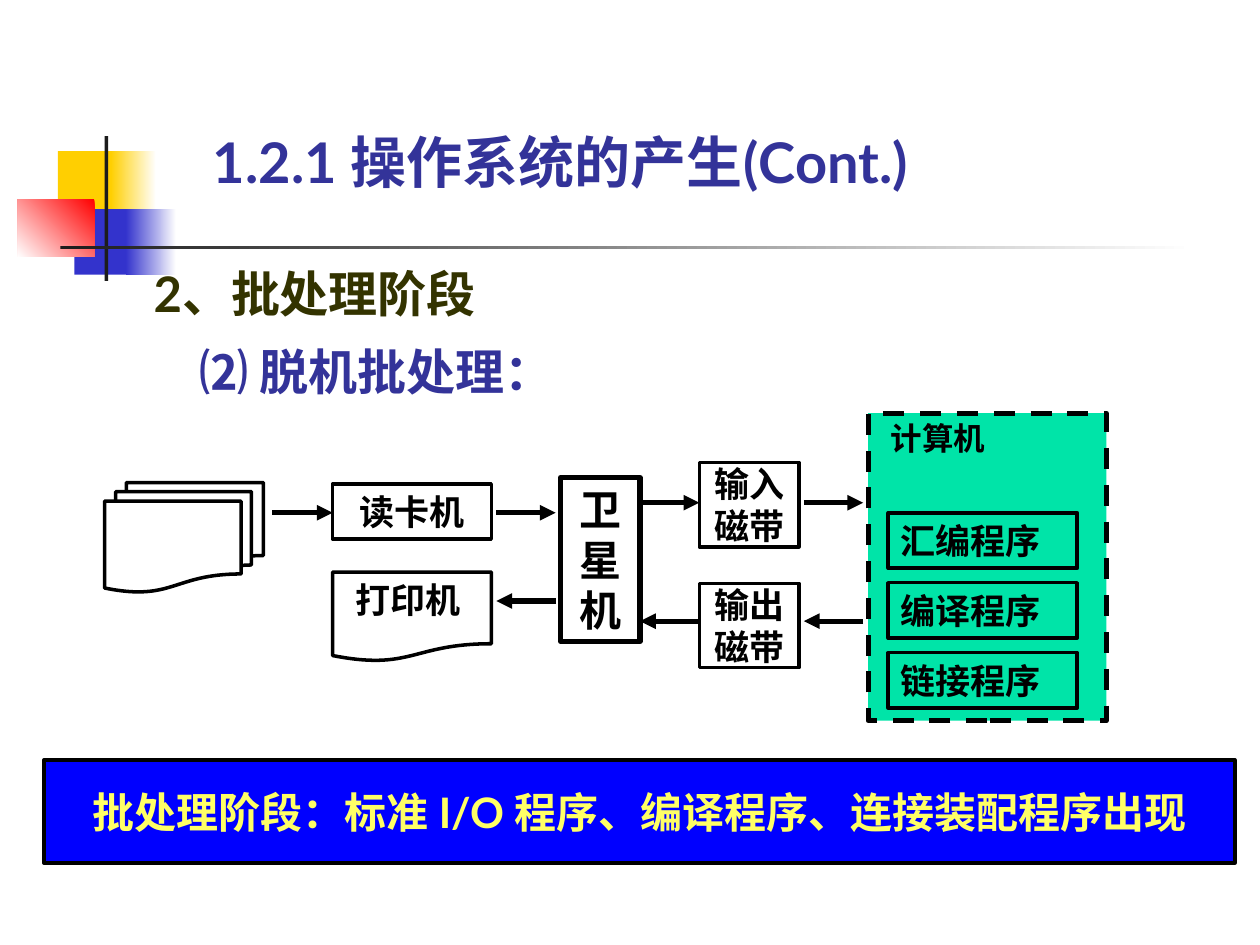
import pptx
import pptx.dml.color
import pptx.enum.dml
import pptx.enum.shapes
import pptx.enum.text
import pptx.oxml
import pptx.oxml.ns
import pptx.util

Inches = pptx.util.Inches
Pt = pptx.util.Pt
RGBColor = pptx.dml.color.RGBColor
Shape = pptx.enum.shapes.MSO_SHAPE
Align = pptx.enum.text.PP_ALIGN
Anchor = pptx.enum.text.MSO_ANCHOR

FONT = "Lato"
WHITE = RGBColor(0xFF, 0xFF, 0xFF)
BLACK = RGBColor(0x00, 0x00, 0x00)
CHARCOAL = RGBColor(0x1C, 0x1C, 0x1C)
GOLD = RGBColor(0xFF, 0xCF, 0x01)
ROYAL = RGBColor(0x33, 0x33, 0xCC)
RED = RGBColor(0xFF, 0x00, 0x00)
NAVY = RGBColor(0x33, 0x33, 0x99)
OLIVE = RGBColor(0x33, 0x33, 0x00)
GREEN = RGBColor(0x00, 0xE4, 0xA8)
BLUE = RGBColor(0x00, 0x00, 0xFF)
YELLOW = RGBColor(0xFF, 0xFF, 0x66)


def add_element(parent, tag, **attributes):
    element = pptx.oxml.parse_xml(f"<{tag} {pptx.oxml.ns.nsdecls('a')}/>")
    for name, value in attributes.items():
        element.set(name, value)
    parent.append(element)


def write_text(para, text, size=20, color=BLACK, align=Align.LEFT,
               before=0, spacing=1.0, indent=0):
    """Fill one paragraph with a bold, unbulleted run."""
    para.alignment = align
    para.space_before = Pt(before)
    para.line_spacing = spacing
    properties = para._p.get_or_add_pPr()
    properties.set("marL", str(Inches(indent)))
    properties.set("indent", "0")
    add_element(properties, "a:buNone")
    span = para.add_run()
    span.text = text
    span.font.name = FONT
    span.font.size = Pt(size)
    span.font.bold = True
    span.font.color.rgb = color
    add_element(span._r.get_or_add_rPr(), "a:ea", typeface=FONT)


def prepare_frame(frame, insets=(0, 0), anchor=Anchor.TOP):
    frame.word_wrap = True
    frame.auto_size = pptx.enum.text.MSO_AUTO_SIZE.NONE
    frame.vertical_anchor = anchor
    frame.margin_left = frame.margin_right = Inches(insets[0])
    frame.margin_top = frame.margin_bottom = Inches(insets[1])


def place(placeholder, left, top, width, height):
    placeholder.left, placeholder.top = Inches(left), Inches(top)
    placeholder.width, placeholder.height = Inches(width), Inches(height)
    prepare_frame(placeholder.text_frame)


def add_block(page, bounds, kind=Shape.RECTANGLE, fill=None, line=None):
    block = page.shapes.add_shape(kind, *map(Inches, bounds))
    block.shadow.inherit = False
    if fill is None:
        block.fill.background()
    else:
        block.fill.solid()
        block.fill.fore_color.rgb = fill
    if line is None:
        block.line.fill.background()
    else:
        block.line.color.rgb = BLACK
        block.line.width = Pt(line)
    return block


def add_fade(page, bounds, color, angle=0):
    """Add a rectangle that fades from a colour to white."""
    fill = add_block(page, bounds).fill
    fill.gradient()
    fill.gradient_angle = angle
    for stop, shade in zip(fill.gradient_stops, (color, WHITE)):
        stop.color.rgb = shade


def add_box(page, text, bounds, kind=Shape.RECTANGLE, fill=None, line=2,
            insets=(0.1, 0.05), anchor=Anchor.MIDDLE, **text_format):
    box = add_block(page, bounds, kind, fill, line)
    prepare_frame(box.text_frame, insets, anchor)
    write_text(box.text_frame.paragraphs[0], text, **text_format)
    return box


def add_arrow(page, start, end, y):
    arrow = page.shapes.add_connector(
        pptx.enum.shapes.MSO_CONNECTOR.STRAIGHT,
        Inches(start), Inches(y), Inches(end), Inches(y))
    arrow.line.color.rgb = BLACK
    arrow.line.width = Pt(3)
    add_element(arrow.line._get_or_add_ln(), "a:tailEnd", type="triangle")
    add_element(arrow._element.spPr, "a:effectLst")


def add_decoration(page):
    add_block(page, (0.46, 1.2, 0.48, 0.52), fill=GOLD)
    add_fade(page, (0.88, 1.2, 0.36, 0.52), GOLD)
    add_block(page, (0.59, 1.66, 0.46, 0.52), fill=ROYAL)
    add_fade(page, (1, 1.66, 0.4, 0.52), ROYAL)
    add_fade(page, (0.14, 1.58, 0.61, 0.46), RED, angle=225)
    add_block(page, (0.83, 1.08, 0.03, 1.15), fill=CHARCOAL)
    add_fade(page, (0.48, 1.95, 9, 0.03), CHARCOAL)


def add_headings(page):
    title, body = page.shapes.title, page.placeholders[1]
    place(title, 1.69, 1.01, 6.38, 0.53)
    write_text(title.text_frame.paragraphs[0], "1.2.1 操作系统的产生(Cont.)",
               size=32, color=NAVY)
    place(body, 1.22, 2.18, 3.7, 0.99)
    frame = body.text_frame
    write_text(frame.paragraphs[0], "2、批处理阶段", size=28, color=OLIVE,
               spacing=0.8)
    write_text(frame.add_paragraph(), "⑵ 脱机批处理：", size=28, color=NAVY,
               spacing=0.8, before=17.5, indent=0.36)


def add_flow(page):
    add_block(page, (0.83, 3.83, 1.26, 0.87), Shape.FLOWCHART_MULTIDOCUMENT,
              fill=WHITE, line=2)
    add_box(page, "读卡机", (2.64, 3.84, 1.26, 0.44), align=Align.CENTER)
    add_box(page, "打印机", (2.64, 4.54, 1.26, 0.71), Shape.FLOWCHART_DOCUMENT,
            insets=(0.18, 0.05), anchor=Anchor.TOP)
    add_box(page, "卫星机", (4.45, 3.79, 0.63, 1.3), line=3, size=24,
            align=Align.CENTER)
    for text, top in (("输入磁带", 3.67), ("输出磁带", 4.63)):
        add_box(page, text, (5.55, top, 0.79, 0.67), insets=(0, 0),
                align=Align.CENTER)

    computer = add_box(page, "计算机", (6.89, 3.28, 1.89, 2.44), fill=GREEN,
                       line=3, insets=(0.18, 0.05), anchor=Anchor.TOP, size=18)
    computer.line.dash_style = pptx.enum.dml.MSO_LINE.DASH
    for row, text in enumerate(("汇编程序", "编译程序", "链接程序")):
        add_box(page, text, (7.05, 4.07 + row * 0.555, 1.5, 0.44))

    add_arrow(page, 2.16, 2.64, 4.07)
    for left, right, upper, lower in ((3.94, 4.41, 4.07, 4.77),
                                      (5.08, 5.55, 3.99, 4.93),
                                      (6.38, 6.85, 3.99, 4.93)):
        add_arrow(page, left, right, upper)
        add_arrow(page, right, left, lower)


def main():
    deck = pptx.Presentation()
    deck.slide_width, deck.slide_height = Inches(10), Inches(7.5)
    page = deck.slides.add_slide(deck.slide_layouts[1])
    add_decoration(page)
    add_headings(page)
    add_flow(page)
    add_box(page, "批处理阶段：标准 I/O 程序、编译程序、连接装配程序出现",
            (0.35, 6.03, 9.45, 0.82), fill=BLUE, size=24, color=YELLOW,
            align=Align.CENTER)
    deck.save("out.pptx")


if __name__ == "__main__":
    main()
